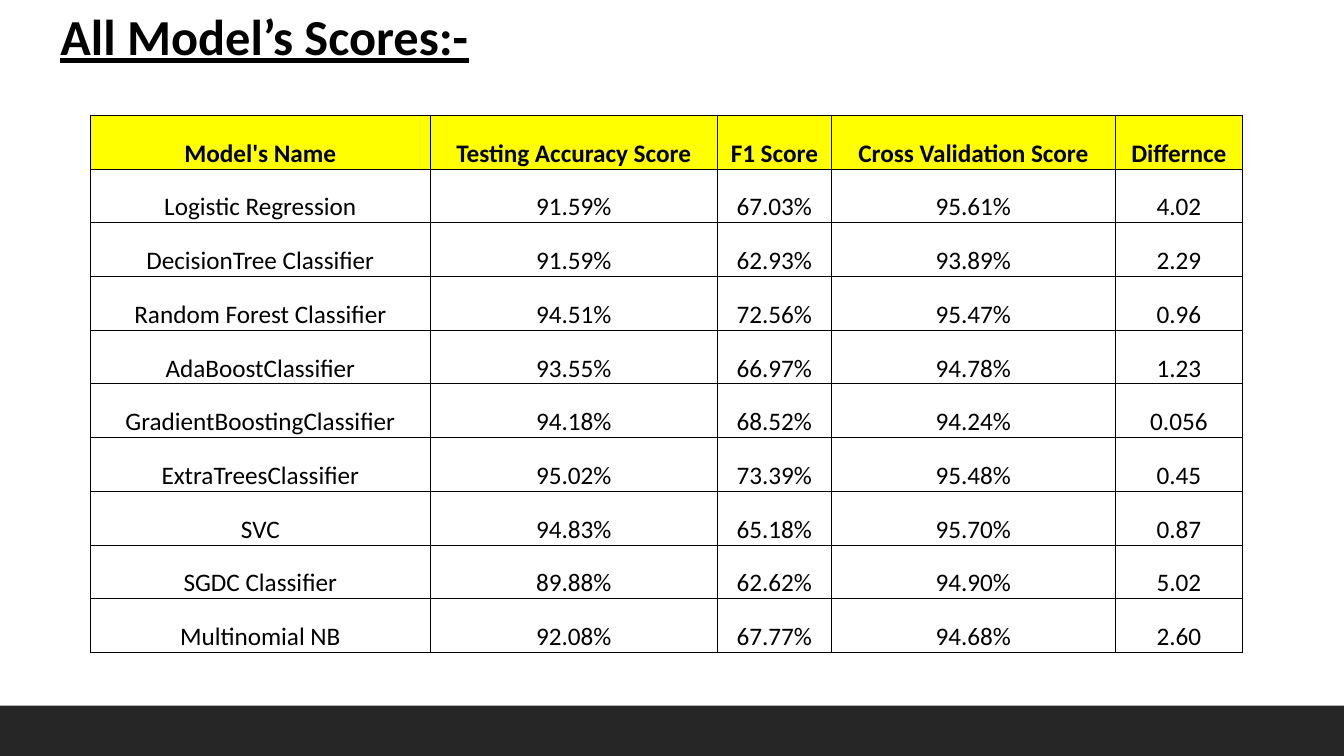
from dataclasses import astuple, dataclass

from lxml import etree
from pptx import Presentation
from pptx.dml.color import RGBColor
from pptx.enum.shapes import MSO_SHAPE
from pptx.enum.text import MSO_ANCHOR, MSO_AUTO_SIZE, PP_ALIGN
from pptx.oxml.ns import qn
from pptx.slide import Slide
from pptx.table import _Cell
from pptx.text.text import TextFrame
from pptx.util import Cm, Pt

RECTANGLE = MSO_SHAPE.RECTANGLE
MIDDLE, BOTTOM = MSO_ANCHOR.MIDDLE, MSO_ANCHOR.BOTTOM
LEFT, CENTER = PP_ALIGN.LEFT, PP_ALIGN.CENTER
GROW = MSO_AUTO_SIZE.SHAPE_TO_FIT_TEXT
TITLE_ONLY = 5
FONT = "Calibri"
BLACK, YELLOW, CHARCOAL = "000000", "FFFF00", "262626"
COLUMN_WIDTHS = (8.56, 7.24, 2.87, 7.16, 3.2)
TABLE_HEIGHT = 13.54


@dataclass(frozen=True)
class ScoreRow:
    model: str
    accuracy: str
    f1: str
    validation: str
    difference: str


SCORES = (
    ScoreRow("Model's Name", "Testing Accuracy Score", "F1 Score", "Cross Validation Score", "Differnce"),
    ScoreRow("Logistic Regression", "91.59%", "67.03%", "95.61%", "4.02"),
    ScoreRow("DecisionTree Classifier", "91.59%", "62.93%", "93.89%", "2.29"),
    ScoreRow("Random Forest Classifier", "94.51%", "72.56%", "95.47%", "0.96"),
    ScoreRow("AdaBoostClassifier", "93.55%", "66.97%", "94.78%", "1.23"),
    ScoreRow("GradientBoostingClassifier", "94.18%", "68.52%", "94.24%", "0.056"),
    ScoreRow("ExtraTreesClassifier", "95.02%", "73.39%", "95.48%", "0.45"),
    ScoreRow("SVC", "94.83%", "65.18%", "95.70%", "0.87"),
    ScoreRow("SGDC Classifier", "89.88%", "62.62%", "94.90%", "5.02"),
    ScoreRow("Multinomial NB", "92.08%", "67.77%", "94.68%", "2.60"),
)


def color(value: str) -> RGBColor:
    return RGBColor.from_string(value)


def write(frame: TextFrame, text: str, size: int, bold: bool, align: PP_ALIGN) -> None:
    frame.text = text
    para = frame.paragraphs[0]
    para.alignment = align
    font = para.runs[0].font
    font.name, font.size, font.bold = FONT, Pt(size), bold
    font.color.rgb = color(BLACK)


def add_border(cell: _Cell) -> None:
    properties = cell._tc.get_or_add_tcPr()
    for side in ("a:lnL", "a:lnR", "a:lnT", "a:lnB"):
        line = etree.SubElement(properties, qn(side), w=str(Pt(0.5)))
        fill = etree.SubElement(line, qn("a:solidFill"))
        etree.SubElement(fill, qn("a:srgbClr"), val=BLACK)


def format_cell(cell: _Cell, text: str, header: bool) -> None:
    write(cell.text_frame, text, 18, header, CENTER)
    cell.vertical_anchor = BOTTOM
    cell.margin_left = cell.margin_right = cell.margin_top = Cm(0.03)
    cell.margin_bottom = 0
    add_border(cell)
    if header:
        cell.fill.solid()
        cell.fill.fore_color.rgb = color(YELLOW)
    else:
        cell.fill.background()


def add_footer_bar(slide: Slide) -> None:
    bar = slide.shapes.add_shape(RECTANGLE, 0, Cm(17.78), Cm(33.87), Cm(1.27))
    bar.shadow.inherit = False
    bar.fill.solid()
    bar.fill.fore_color.rgb = color(CHARCOAL)
    bar.line.fill.background()


def add_title(slide: Slide) -> None:
    title = slide.shapes.title
    title.left, title.top, title.width, title.height = Cm(1.27), 0, Cm(21), Cm(1.8)
    frame = title.text_frame
    write(frame, "All Model’s Scores:-", 36, True, LEFT)
    frame.paragraphs[0].runs[0].font.underline = True
    frame.vertical_anchor = MIDDLE
    frame.word_wrap = True
    frame.auto_size = GROW


def add_score_table(slide: Slide) -> None:
    frame = slide.shapes.add_table(
        len(SCORES), len(COLUMN_WIDTHS),
        Cm(2.28), Cm(2.9), Cm(sum(COLUMN_WIDTHS)), Cm(TABLE_HEIGHT),
    )
    table = frame.table
    table.first_row = table.horz_banding = False
    for column, width in zip(table.columns, COLUMN_WIDTHS):
        column.width = Cm(width)
    for row_index, (row, score) in enumerate(zip(table.rows, SCORES)):
        for cell, text in zip(row.cells, astuple(score)):
            format_cell(cell, text, row_index == 0)


def main() -> None:
    deck = Presentation()
    deck.slide_width, deck.slide_height = Cm(33.87), Cm(19.05)
    slide = deck.slides.add_slide(deck.slide_layouts[TITLE_ONLY])
    add_footer_bar(slide)
    add_title(slide)
    add_score_table(slide)
    deck.save("out.pptx")


if __name__ == "__main__":
    main()
